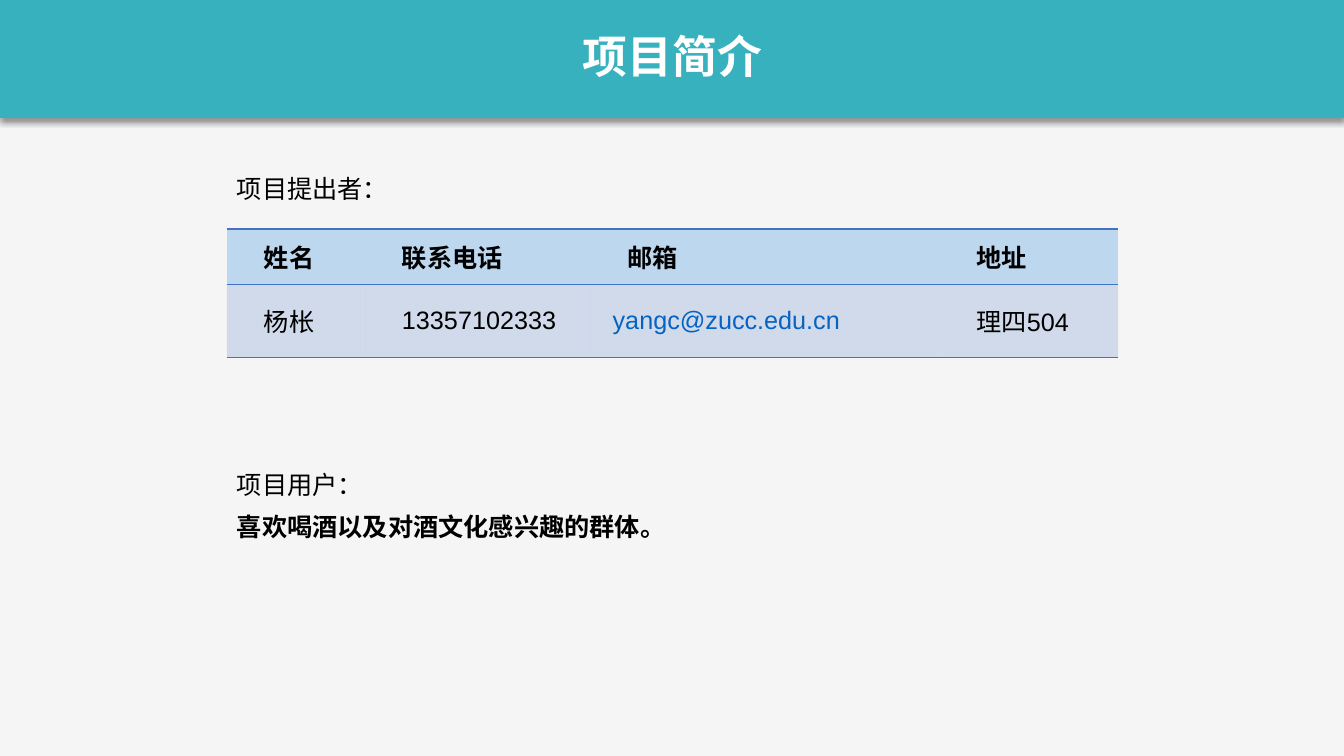
from lxml import etree
from pptx import Presentation
from pptx.dml.color import RGBColor
from pptx.enum.shapes import MSO_SHAPE
from pptx.enum.text import MSO_ANCHOR, MSO_AUTO_SIZE, PP_ALIGN
from pptx.oxml import parse_xml
from pptx.oxml.ns import nsdecls, qn
from pptx.util import Cm, Pt

COLORS = {
    "background": "F5F5F5",
    "band": "38B1BF",
    "white": "FFFFFF",
    "black": "000000",
    "header": "BDD7EE",
    "accent": "4472C4",
    "email": "0563C1",
}
CJK_FONT = "Noto Sans CJK SC"
NO_STYLE_NO_GRID = "{2D5ABB26-0587-4C30-8999-92F81FD0307C}"
COLUMN_WIDTHS = (3.48, 5.69, 8.79, 4.5)
ROW_HEIGHTS = (1.4, 1.83)
CONTACTS = (
    ("姓名", "联系电话", "邮箱", "地址"),
    ("杨枨", "13357102333", "yangc@zucc.edu.cn", "理四504"),
)


def rgb(name):
    return RGBColor.from_string(COLORS[name])


def format_text(paragraph, font_name, size=18, color="black", bold=False):
    for run in paragraph.runs:
        font = run.font
        font.name = font_name
        font.size = Pt(size)
        font.bold = bold
        font.color.rgb = rgb(color)
        east_asian = etree.SubElement(font._element, qn("a:ea"))
        east_asian.set("typeface", CJK_FONT)


def add_band(slide):
    """Put the shadowed title band behind everything else."""
    band = slide.shapes.add_shape(
        MSO_SHAPE.RECTANGLE, Cm(0), Cm(-0.15), Cm(33.87), Cm(3.12))
    band.fill.solid()
    band.fill.fore_color.rgb = rgb("band")
    band.line.fill.background()
    band._element.spPr.append(parse_xml(
        f'<a:effectLst {nsdecls("a")}>'
        f'<a:outerShdw blurRad="{Pt(4)}" dist="{Pt(3)}" dir="5400000" rotWithShape="0">'
        f'<a:srgbClr val="{COLORS["black"]}"><a:alpha val="40000"/></a:srgbClr>'
        '</a:outerShdw></a:effectLst>'))
    slide.shapes._spTree.insert(2, band._element)


def set_title(slide, text):
    title = slide.shapes.title
    title.left, title.top, title.width, title.height = (
        Cm(14.43), Cm(0.58), Cm(5.03), Cm(1.63))
    frame = title.text_frame
    frame.text = text
    frame.word_wrap = False
    frame.auto_size = MSO_AUTO_SIZE.SHAPE_TO_FIT_TEXT
    paragraph = frame.paragraphs[0]
    paragraph.alignment = PP_ALIGN.CENTER
    format_text(paragraph, CJK_FONT, 32, "white", True)


def add_text(slide, text, top, width, bold=False):
    frame = slide.shapes.add_textbox(Cm(5.72), Cm(top), Cm(width), Cm(1.02)).text_frame
    frame.text = text
    frame.word_wrap = True
    frame.auto_size = MSO_AUTO_SIZE.SHAPE_TO_FIT_TEXT
    format_text(frame.paragraphs[0], "Calibri", bold=bold)


def add_borders(cell, sides):
    for position, side in enumerate(sides):
        cell._tc.get_or_add_tcPr().insert(position, parse_xml(
            f'<a:{side} {nsdecls("a")} w="{Pt(1)}"><a:solidFill>'
            f'<a:srgbClr val="{COLORS["accent"]}"/></a:solidFill></a:{side}>'))


def fill_cell(cell, text, is_header):
    is_email = "@" in text
    cell.text = text
    cell.vertical_anchor = MSO_ANCHOR.MIDDLE
    cell.margin_left = cell.margin_right = Cm(0.19)
    cell.margin_top = cell.margin_bottom = Cm(0)
    cell.fill.solid()
    cell.fill.fore_color.rgb = rgb("header" if is_header else "accent")
    if not is_header:
        color = cell._tc.tcPr.find(f'{qn("a:solidFill")}/{qn("a:srgbClr")}')
        etree.SubElement(color, qn("a:alpha")).set("val", "20000")
    add_borders(cell, ("lnT", "lnB") if is_header else ("lnB",))
    paragraph = cell.text_frame.paragraphs[0]
    properties = paragraph._p.get_or_add_pPr()
    properties.set("marL", "0")
    properties.set("indent", str(Cm(0.36 if is_email else 0.74)))
    format_text(paragraph, "Arial", color="email" if is_email else "black", bold=is_header)


def add_contact_table(slide):
    table = slide.shapes.add_table(
        len(CONTACTS), len(COLUMN_WIDTHS), Cm(5.72), Cm(5.77),
        Cm(sum(COLUMN_WIDTHS)), Cm(sum(ROW_HEIGHTS))).table
    table.horz_banding = False
    table._tbl.tblPr.find(qn("a:tableStyleId")).text = NO_STYLE_NO_GRID
    for column, width in zip(table.columns, COLUMN_WIDTHS):
        column.width = Cm(width)
    for row_index, (row, height, texts) in enumerate(zip(table.rows, ROW_HEIGHTS, CONTACTS)):
        row.height = Cm(height)
        for cell, text in zip(row.cells, texts):
            fill_cell(cell, text, row_index == 0)


def main():
    presentation = Presentation()
    presentation.slide_width, presentation.slide_height = Cm(33.87), Cm(19.05)
    slide = presentation.slides.add_slide(presentation.slide_layouts[5])
    slide.background.fill.solid()
    slide.background.fill.fore_color.rgb = rgb("background")
    add_band(slide)
    set_title(slide, "项目简介")
    add_contact_table(slide)
    add_text(slide, "项目提出者：", 4.24, 10.03)
    add_text(slide, "项目用户：", 11.71, 4.17)
    add_text(slide, "喜欢喝酒以及对酒文化感兴趣的群体。", 12.75, 18.64, bold=True)
    presentation.save("out.pptx")


if __name__ == "__main__":
    main()
